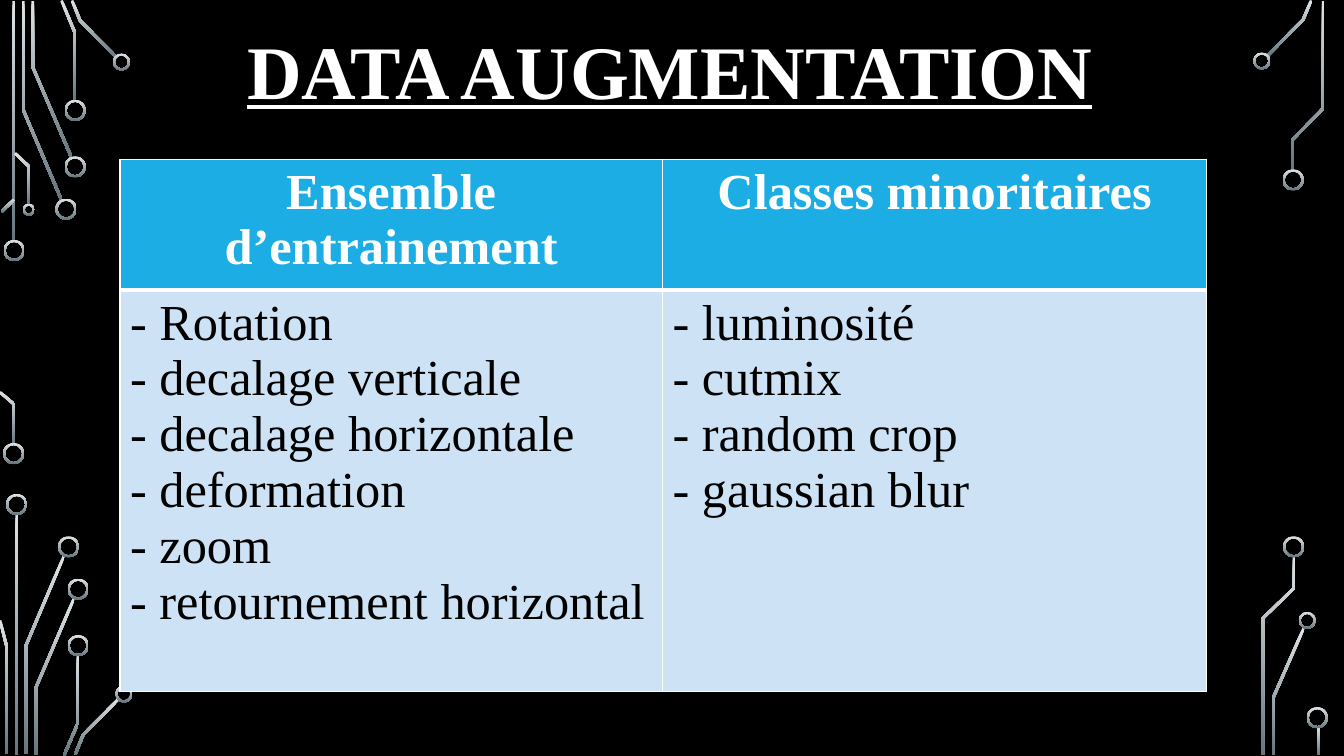
import math

from lxml import etree
from pptx import Presentation
from pptx.dml.color import RGBColor
from pptx.enum.shapes import MSO_SHAPE
from pptx.enum.text import MSO_ANCHOR, PP_ALIGN
from pptx.oxml.ns import qn
from pptx.util import Inches, Pt

DONUT = MSO_SHAPE.DONUT
MIDDLE = MSO_ANCHOR.MIDDLE
CENTER, LEFT = PP_ALIGN.CENTER, PP_ALIGN.LEFT

COLORS = {
    "background": "000000",
    "white": "FFFFFF",
    "ink": "000000",
    "header": "1CADE4",
    "body": "CDE3F5",
    "trace_top": "DFE3E5",
    "trace_bottom": "65757D",
}
FONT = "Times New Roman"
COLS, ROWS = 1333, 750  # fine grid over the whole slide

# Centre lines of the circuit traces, as (column, row) points
TRACES = [
    # top left
    [(13.5, 1), (13.5, 240)],
    [(61, 198.5), (23, 109), (23, 1)],
    [(71, 156.5), (32.5, 66.5), (32.5, 1)],
    [(61, 0.5), (74.5, 33), (74.5, 100)],
    [(71.5, 0.5), (79.5, 20.5), (115.5, 57)],
    [(1.5, 210), (14, 198)],
    [(15, 152), (29, 165.5), (29, 203)],
    [(0, 389), (14, 401), (14, 441)],
    # bottom left
    [(16.5, 510), (16.5, 749)],
    [(63.5, 551.5), (25.5, 641), (25.5, 748)],
    [(0, 615.5), (6.5, 641), (6.5, 748)],
    [(73.5, 593.5), (35.5, 682.5), (35.5, 749)],
    [(77.5, 650), (77.5, 717), (63.5, 749.5)],
    [(118, 693), (82.5, 729), (74.5, 748.5)],
    # right
    [(1257, 55.5), (1292.5, 19.5), (1300.5, 0.5)],
    [(1312.5, 1), (1312.5, 107.5), (1282, 138.5), (1282, 169)],
    [(1293, 623.5), (1262.5, 693), (1262.5, 749)],
    [(1283.5, 552), (1283.5, 583.5), (1252.5, 613.5), (1252.5, 749)],
    [(1307.5, 721), (1307.5, 749)],
]
# Ring centres by diameter
RINGS = {
    21: [(14, 248.5), (13.5, 450), (65.5, 207.5), (74.5, 165.5), (74.5, 109.5),
         (16.5, 500.5), (68, 542.5), (77.5, 584.5), (77.5, 640.5),
         (1282.5, 178.5), (1283, 542.5), (1306.5, 712)],
    17: [(120.5, 61.5), (123, 688.5), (1251.5, 60.5), (1296.5, 615.5)],
    12: [(28.5, 208)],
}

HEADERS = ["Ensemble d’entrainement", "Classes minoritaires"]
LISTS = [
    ["- Rotation", "- decalage verticale", "- decalage horizontale",
     "- deformation", "- zoom", "- retournement horizontal"],
    ["- luminosité", "- cutmix", "- random crop", "- gaussian blur"],
]


def rgb(name):
    return RGBColor.from_string(COLORS[name])


def band(points, width):
    """Return the outline of a mitred band of the given width along points."""
    normals = []
    for (x1, y1), (x2, y2) in zip(points, points[1:]):
        length = math.hypot(x2 - x1, y2 - y1)
        normals.append(((y1 - y2) / length, (x2 - x1) / length))
    left, right = [], []
    for (x, y), (ax, ay), (bx, by) in zip(
            points, normals[:1] + normals, normals + normals[-1:]):
        k = width / 2 / (1 + ax * bx + ay * by)
        dx, dy = k * (ax + bx), k * (ay + by)
        left.append((x + dx, y + dy))
        right.append((x - dx, y - dy))
    return left + right[::-1]


class Deck:
    """Holds the presentation, its grid and the current slide."""

    def __init__(self):
        self.prs = Presentation()
        self.prs.slide_width = Inches(13.33)
        self.prs.slide_height = Inches(7.5)
        self.slide = self.prs.slides.add_slide(self.prs.slide_layouts[6])
        self.shapes = self.slide.shapes
        fill = self.slide.background.fill
        fill.solid()
        fill.fore_color.rgb = rgb("background")

    def x(self, col):
        return round(self.prs.slide_width * col / COLS)

    def y(self, row):
        return round(self.prs.slide_height * row / ROWS)

    def box(self, col, row, cols, rows):
        return self.x(col), self.y(row), self.x(cols), self.y(rows)

    def metal(self, sp):
        """Give a shape the downward grey gradient, with no line or shadow."""
        sp.shadow.inherit = False
        sp.line.fill.background()
        sp.fill.gradient()
        sp.fill.gradient_angle = 270
        for stop, name, at in zip(sp.fill.gradient_stops,
                                  ("trace_top", "trace_bottom"), (0, 1)):
            stop.color.rgb = rgb(name)
            stop.position = at

    def trace(self, points, width=2.7):
        outline = [(self.x(c), self.y(r)) for c, r in band(points, width)]
        builder = self.shapes.build_freeform(*outline[0])
        builder.add_line_segments(outline[1:], close=True)
        self.metal(builder.convert_to_shape())

    def ring(self, col, row, size, wall=2):
        sp = self.shapes.add_shape(
            DONUT, *self.box(col - size / 2, row - size / 2, size, size))
        sp.adjustments[0] = wall / size
        self.metal(sp)

    def text(self, tf, lines, size, color, align, bold=False):
        tf.word_wrap = True
        for i, line in enumerate(lines):
            p = tf.add_paragraph() if i else tf.paragraphs[0]
            p.text = line
            p.alignment = align
            p.font.name, p.font.size, p.font.bold = FONT, Pt(size), bold
            p.font.color.rgb = rgb(color)

    def title(self, text, *box):
        tf = self.shapes.add_textbox(*self.box(*box)).text_frame
        tf.vertical_anchor = MIDDLE
        self.text(tf, [text], 54, "white", CENTER, bold=True)
        p = tf.paragraphs[0]
        p.line_spacing = 0.9
        p.font.underline = True

    def border(self, cell, side, width):
        tc_pr = cell._tc.get_or_add_tcPr()
        ln = etree.SubElement(tc_pr, qn(f"a:ln{side}"), w=str(Pt(width)))
        fill = etree.SubElement(ln, qn("a:solidFill"))
        etree.SubElement(fill, qn("a:srgbClr"), val=COLORS["white"])

    def cell(self, cell, lines, fill, color, align, bold, bottom=1, top=1):
        for side, width in zip("LRTB", (1, 1, top, bottom)):
            self.border(cell, side, width)
        cell.fill.solid()
        cell.fill.fore_color.rgb = rgb(fill)
        self.text(cell.text_frame, lines, 36, color, align, bold)

    def table(self, headers, lists, col, row, widths, heights):
        table = self.shapes.add_table(
            len(heights), len(widths),
            *self.box(col, row, sum(widths), sum(heights))).table
        table.horz_banding = False
        for column, width in zip(table.columns, widths):
            column.width = self.x(width)
        for line, height in zip(table.rows, heights):
            line.height = self.y(height)
        for i, (header, items) in enumerate(zip(headers, lists)):
            self.cell(table.cell(0, i), [header], "header", "white", CENTER,
                      True, bottom=3)
            self.cell(table.cell(1, i), items, "body", "ink", LEFT, False,
                      top=3)


def main():
    deck = Deck()
    for points in TRACES:
        deck.trace(points)
    for size, centres in RINGS.items():
        for col, row in centres:
            deck.ring(col, row, size)
    deck.title("DATA AUGMENTATION", 123, 9, 1083, 130)
    deck.table(HEADERS, LISTS, 119, 158, widths=(538, 540), heights=(120, 398))
    deck.prs.save("out.pptx")


if __name__ == "__main__":
    main()
